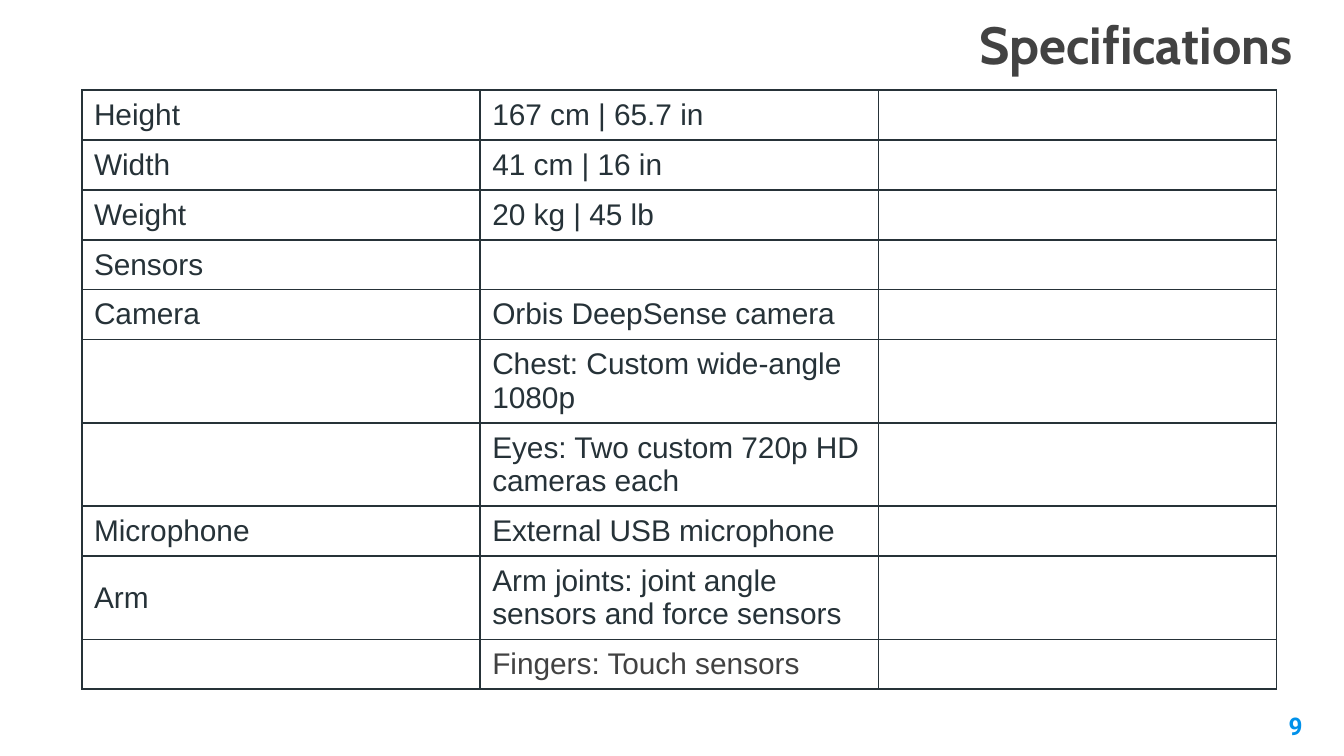
"""Build the robot specifications slide with a three-column table."""
from lxml import etree
from pptx import Presentation
from pptx.dml.color import RGBColor
from pptx.enum.text import MSO_ANCHOR, MSO_AUTO_SIZE, PP_ALIGN
from pptx.oxml.ns import qn
from pptx.util import Inches, Pt

LEFT, RIGHT = PP_ALIGN.LEFT, PP_ALIGN.RIGHT
TOP, MIDDLE, BOTTOM = MSO_ANCHOR.TOP, MSO_ANCHOR.MIDDLE, MSO_ANCHOR.BOTTOM
FIXED = MSO_AUTO_SIZE.NONE
INK, GREY, BLUE = "263238", "424242", "0091EA"


def style(frame, name, size, color, bold=False):
    for run in frame.paragraphs[0].runs:
        run.font.name = name
        run.font.size = Pt(size)
        run.font.bold = bold
        run.font.color.rgb = RGBColor.from_string(color)


def border(cell, color, width):
    props = cell._tc.get_or_add_tcPr()
    for index, side in enumerate(("lnL", "lnR", "lnT", "lnB")):
        line = etree.Element(qn(f"a:{side}"), w=str(Pt(width)))
        fill = etree.SubElement(line, qn("a:solidFill"))
        etree.SubElement(fill, qn("a:srgbClr"), val=color)
        props.insert(index, line)


deck = Presentation()
deck.slide_width, deck.slide_height = Inches(10), Inches(10 * 9 / 16)
slide = deck.slides.add_slide(deck.slide_layouts[5])

title = slide.shapes.title
title.left, title.top = Inches(7.19), Inches(0)
title.width, title.height = Inches(2.61), Inches(0.66)
number = slide.shapes.add_textbox(Inches(9.19), Inches(5.19), Inches(0.6), Inches(0.43))

labels = [
    (title, "Specifications", "Cabin", 28, GREY, LEFT, BOTTOM),
    (number, "9", "Roboto", 13, BLUE, RIGHT, TOP),
]
for shape, text, name, size, color, align, anchor in labels:
    frame = shape.text_frame
    frame.text = text
    frame.word_wrap = True
    frame.auto_size = FIXED
    frame.vertical_anchor = anchor
    frame.margin_left = frame.margin_right = Inches(0.1)
    frame.margin_top = frame.margin_bottom = Inches(0.1)
    frame.paragraphs[0].alignment = align
    style(frame, name, size, color, True)

SHORT, TALL = 0.37, 0.62
specs = [
    ("Height", "167 cm | 65.7 in", SHORT),
    ("Width", "41 cm | 16 in", SHORT),
    ("Weight", "20 kg | 45 lb", SHORT),
    ("Sensors", "", SHORT),
    ("Camera", "Orbis DeepSense camera", SHORT),
    ("", "Chest: Custom wide-angle 1080p", TALL),
    ("", "Eyes: Two custom 720p HD cameras each", TALL),
    ("Microphone", "External USB microphone", SHORT),
    ("Arm", "Arm joints: joint angle sensors and force sensors", TALL),
    ("", "Fingers: Touch sensors", SHORT),
]
total = sum(height for _, _, height in specs)
table = slide.shapes.add_table(
    len(specs), 3, Inches(0.61), Inches(0.67), Inches(8.89), Inches(total)
).table
table.first_row = table.horz_banding = False

for row, (part, value, height) in enumerate(specs):
    table.rows[row].height = Inches(height)
    for col, text in enumerate((part, value, "")):
        cell = table.cell(row, col)
        cell.text = text
        cell.vertical_anchor = MIDDLE
        cell.margin_left = Inches(0.09)
        cell.margin_right = Inches(0.04 if col == 1 else 0.09)
        pad = 1 / 16 if col == 1 and text else 0.04 if text else 0.02
        cell.margin_top = cell.margin_bottom = Inches(pad)
        cell.fill.background()
        border(cell, INK, 1)
        style(cell.text_frame, "Arial", 16, GREY if text.startswith("Fingers") else INK)

deck.save("out.pptx")
